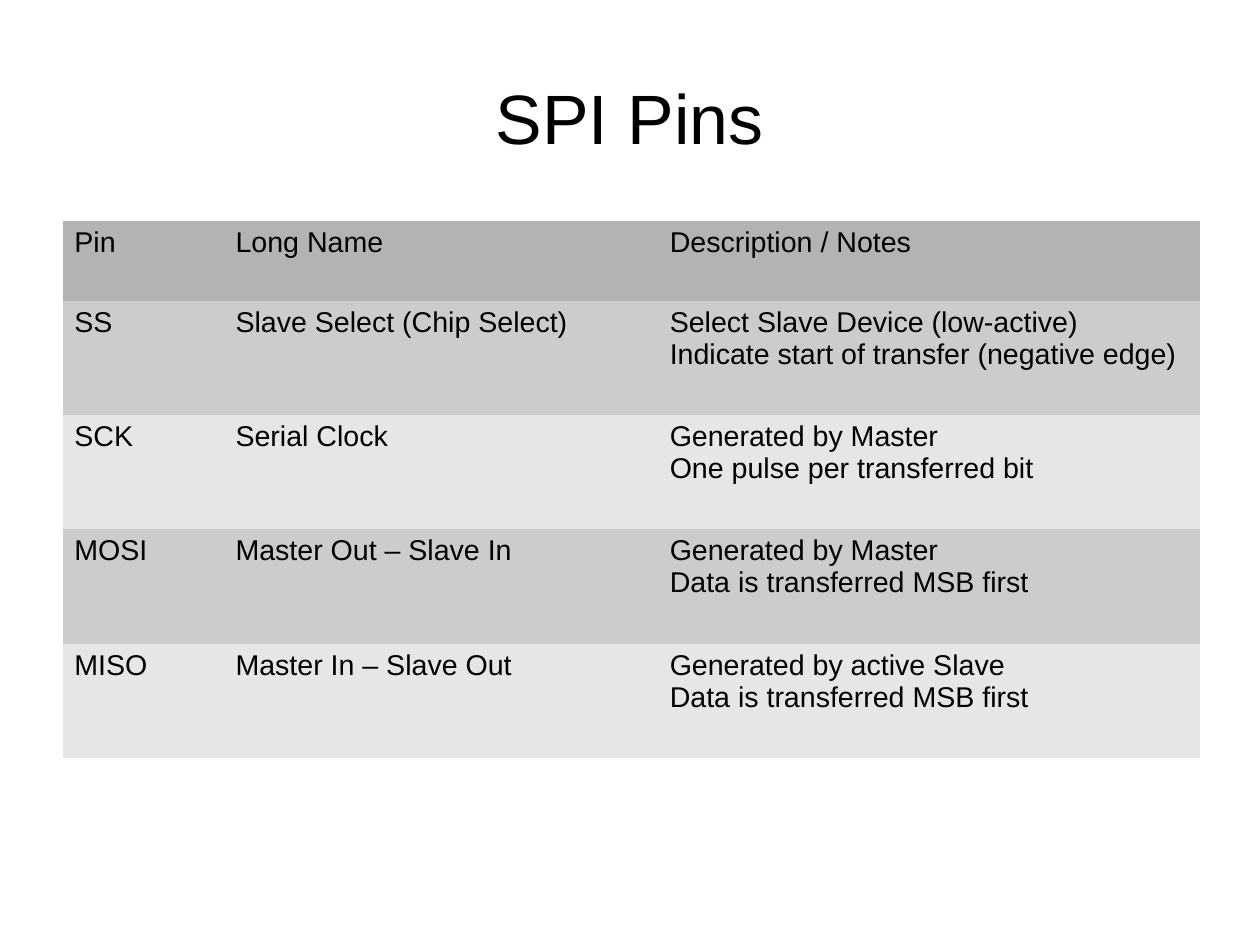
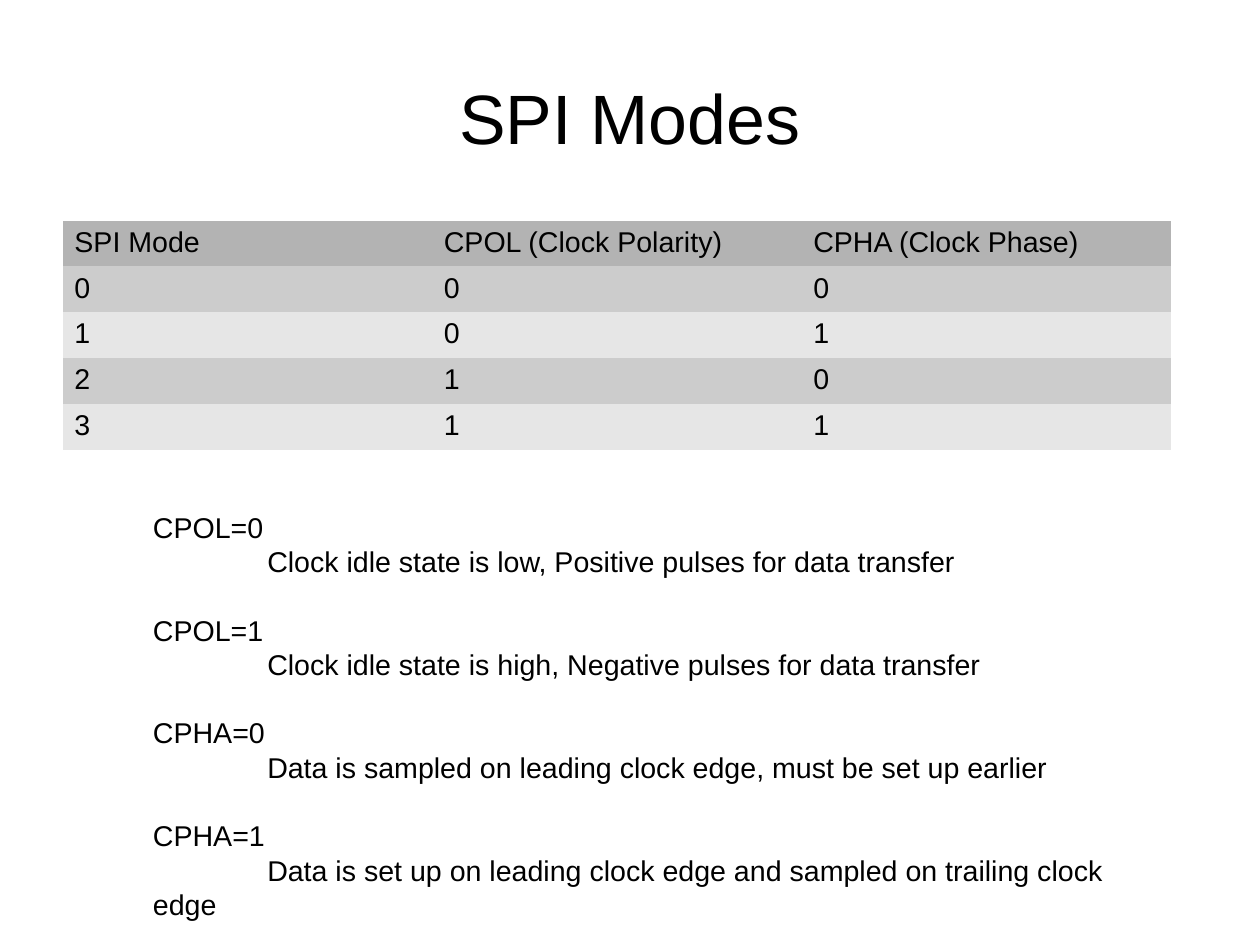
from dataclasses import dataclass

from pptx import Presentation
from pptx.dml.color import RGBColor
from pptx.enum.text import MSO_ANCHOR, PP_ALIGN
from pptx.oxml.ns import qn
from pptx.slide import Slide
from pptx.text.text import TextFrame
from pptx.util import Cm, Length, Pt

LEFT, CENTER = PP_ALIGN.LEFT, PP_ALIGN.CENTER
TOP, MIDDLE = MSO_ANCHOR.TOP, MSO_ANCHOR.MIDDLE
NO_STYLE_NO_GRID = "{2D5ABB26-0587-4C30-8999-92F81FD0307C}"


@dataclass(frozen=True)
class Theme:
    font: str = "Arial"
    ink: RGBColor = RGBColor(0x00, 0x00, 0x00)
    header: RGBColor = RGBColor(0xB3, 0xB3, 0xB3)
    bands: tuple[RGBColor, RGBColor] = (RGBColor(0xCC, 0xCC, 0xCC),
                                        RGBColor(0xE6, 0xE6, 0xE6))
    title_size: Length = Pt(44)
    body_size: Length = Pt(18)
    body_leading: Length = Pt(21.6)


THEME = Theme()
MARGIN, TABLE_TOP = Cm(1.4), Cm(4.9)


@dataclass(frozen=True)
class TableData:
    col_widths: list[Length]
    header_height: Length
    row_height: Length
    rows: list[tuple[str, ...]]


@dataclass(frozen=True)
class Setting:
    name: str
    meaning: str


# Content
PINS = TableData([Cm(3.58), Cm(9.65), Cm(12.04)], Cm(1.78), Cm(2.54), [
    ("Pin", "Long Name", "Description / Notes"),
    ("SS", "Slave Select (Chip Select)",
     "Select Slave Device (low-active)\nIndicate start of transfer (negative edge)"),
    ("SCK", "Serial Clock", "Generated by Master\nOne pulse per transferred bit"),
    ("MOSI", "Master Out – Slave In", "Generated by Master\nData is transferred MSB first"),
    ("MISO", "Master In – Slave Out", "Generated by active Slave\nData is transferred MSB first"),
])
MODES = TableData([Cm(8.21)] * 3, Cm(1.02), Cm(1.02), [
    ("SPI Mode", "CPOL (Clock Polarity)", "CPHA (Clock Phase)"),
    ("0", "0", "0"),
    ("1", "0", "1"),
    ("2", "1", "0"),
    ("3", "1", "1"),
])
SETTINGS = [
    Setting("CPOL=0", "Clock idle state is low, Positive pulses for data transfer"),
    Setting("CPOL=1", "Clock idle state is high, Negative pulses for data transfer"),
    Setting("CPHA=0", "Data is sampled on leading clock edge, must be set up earlier"),
    Setting("CPHA=1", "Data is set up on leading clock edge and sampled on trailing clock edge"),
]


# Text
def add_text(tf: TextFrame, text: str, *, size: Length = THEME.body_size,
             align: PP_ALIGN = LEFT, leading: Length | None = None,
             before: Length = Pt(0), indent: Length = Cm(0)) -> None:
    """Append one paragraph per line, filling the first empty one."""
    for line in text.split("\n"):
        p = tf.paragraphs[-1]
        if p.runs:
            p = tf.add_paragraph()
        p.alignment, p.space_before = align, before
        if leading:
            p.line_spacing = leading
        if indent:
            p._p.get_or_add_pPr().set("indent", str(indent))
        r = p.add_run()
        r.text = line
        r.font.name, r.font.size = THEME.font, size
        r.font.color.rgb = THEME.ink


def add_box(s: Slide, left: Length, top: Length, width: Length, height: Length,
            anchor: MSO_ANCHOR = TOP) -> TextFrame:
    tf = s.shapes.add_textbox(left, top, width, height).text_frame
    tf.word_wrap, tf.vertical_anchor = True, anchor
    return tf


# Slide parts
def add_titled_slide(prs: Presentation, title: str) -> Slide:
    s = prs.slides.add_slide(prs.slide_layouts[6])
    tf = add_box(s, MARGIN, Cm(0.84), prs.slide_width - 2 * MARGIN, Cm(3.5), MIDDLE)
    tf.margin_left = tf.margin_right = tf.margin_top = tf.margin_bottom = 0
    add_text(tf, title, size=THEME.title_size, align=CENTER)
    return s


def add_banded_table(s: Slide, data: TableData) -> None:
    height = data.header_height + data.row_height * (len(data.rows) - 1)
    frame = s.shapes.add_table(len(data.rows), len(data.col_widths), MARGIN, TABLE_TOP,
                               sum(data.col_widths), height)
    for style in frame.element.iter(qn("a:tableStyleId")):
        style.text = NO_STYLE_NO_GRID
    table = frame.table
    for col, width in zip(table.columns, data.col_widths):
        col.width = width
    for i, texts in enumerate(data.rows):
        table.rows[i].height = data.row_height if i else data.header_height
        for cell, text in zip(table.rows[i].cells, texts):
            cell.fill.solid()
            cell.fill.fore_color.rgb = THEME.bands[(i - 1) % 2] if i else THEME.header
            add_text(cell.text_frame, text)


def add_settings(s: Slide, settings: list[Setting]) -> None:
    tf = add_box(s, Cm(3.15), Cm(11.2), Cm(21.92), Cm(8.08))
    leading = THEME.body_leading
    for i, setting in enumerate(settings):
        add_text(tf, setting.name, leading=leading, before=leading if i else Pt(0))
        add_text(tf, setting.meaning, leading=leading, indent=Cm(2.54))


def main() -> None:
    prs = Presentation()
    prs.slide_width, prs.slide_height = Cm(28), Cm(21)

    # Pins
    add_banded_table(add_titled_slide(prs, "SPI Pins"), PINS)

    # Modes
    s = add_titled_slide(prs, "SPI Modes")
    add_banded_table(s, MODES)
    add_settings(s, SETTINGS)

    prs.save("out.pptx")


if __name__ == "__main__":
    main()
